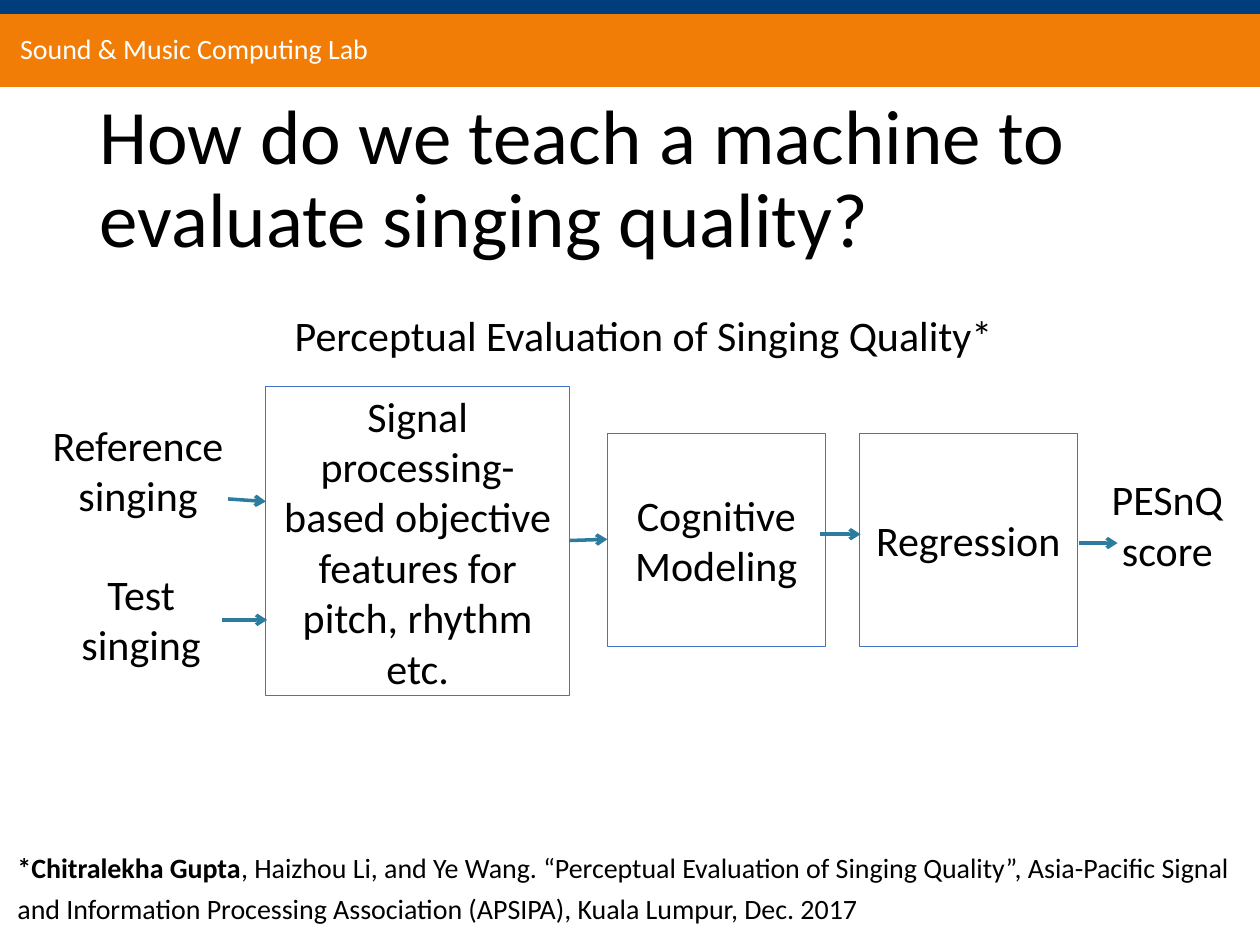
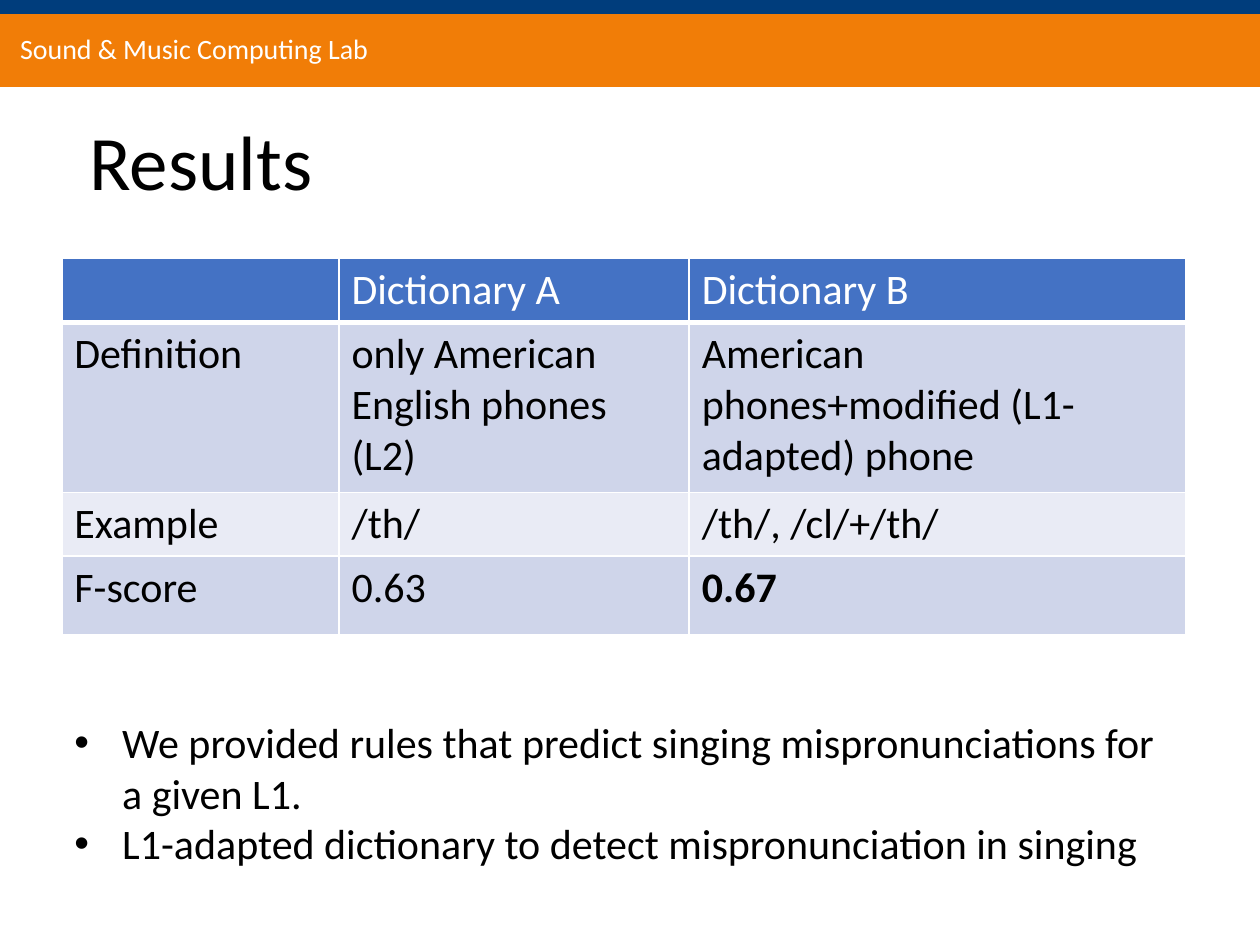
"""Build two slides on machine evaluation of singing quality."""
from dataclasses import dataclass

from lxml.etree import SubElement
from pptx import Presentation
from pptx.dml.color import RGBColor
from pptx.enum.shapes import MSO_CONNECTOR, MSO_SHAPE
from pptx.enum.text import MSO_ANCHOR, MSO_AUTO_SIZE, PP_ALIGN
from pptx.oxml.ns import qn
from pptx.util import Emu, Pt

PX = 9144
FONT = "Calibri"
COLORS = {
    "black": "000000",
    "white": "FFFFFF",
    "orange": "F17D07",
    "navy": "003D7C",
    "arrow": "2C7C9F",
    "blue": "4472C4",
    "odd_row": "CFD5EA",
    "even_row": "E9EBF5",
}


@dataclass(frozen=True)
class Area:
    left: int
    top: int
    width: int
    height: int

    def emu(self) -> tuple:
        return tuple(Emu(v * PX) for v in (self.left, self.top, self.width, self.height))


@dataclass(frozen=True)
class Label:
    text: str
    area: Area
    align: PP_ALIGN = PP_ALIGN.CENTER


@dataclass(frozen=True)
class Stage:
    text: str
    area: Area


@dataclass(frozen=True)
class Arrow:
    x1: int
    y1: int
    x2: int
    y2: int


ORANGE_BAND = Area(0, 11, 1000, 58)
NAVY_BAND = Area(0, 0, 1000, 11)
LAB_NAME = Area(12, 21, 287, 35)

STAGES = [
    Stage("Signal processing-based objective features for pitch, rhythm etc.",
          Area(211, 307, 241, 245)),
    Stage("Cognitive Modeling", Area(482, 344, 173, 169)),
    Stage("Regression", Area(682, 344, 173, 169)),
]
LABELS = [
    Label("Reference singing", Area(19, 328, 181, 91)),
    Label("Test singing", Area(25, 446, 174, 91)),
    Label("PESnQ score", Area(863, 371, 127, 91)),
    Label("Perceptual Evaluation of Singing Quality*", Area(224, 241, 592, 50), PP_ALIGN.LEFT),
]
ARROWS = [
    Arrow(181, 396, 211, 398),
    Arrow(176, 492, 212, 492),
    Arrow(452, 429, 482, 428),
    Arrow(651, 424, 683, 424),
    Arrow(856, 431, 887, 431),
]
CITATION_AREA = Area(4, 665, 996, 74)
CITATION_AUTHOR = "*Chitralekha Gupta"
CITATION_REST = (
    ", Haizhou Li, and Ye Wang. “Perceptual Evaluation of Singing Quality”, "
    "Asia-Pacific Signal and Information Processing Association (APSIPA), "
    "Kuala Lumpur, Dec. 2017"
)

TABLE_AREA = Area(49, 205, 892, 295)
COLUMN_WIDTHS = [220, 278, 394]
ROW_HEIGHTS = [49, 135, 49, 62]
RESULTS = [
    ["", "Dictionary A", "Dictionary B"],
    ["Definition", "only American English phones (L2)",
     "American phones+modified (L1-adapted) phone"],
    ["Example", "/th/", "/th/, /cl/+/th/"],
    ["F-score", "0.63", "0.67"],
]
ROW_FILLS = ["blue", "odd_row", "even_row", "odd_row"]
BEST_SCORE = "0.67"
FINDINGS_AREA = Area(49, 564, 892, 131)
FINDINGS = [
    "We provided rules that predict singing mispronunciations for a given L1.",
    "L1-adapted dictionary to detect mispronunciation in singing",
]


def rgb(color: str) -> RGBColor:
    return RGBColor.from_string(COLORS[color])


def add_run(paragraph, text: str, size: int = 24, color: str = "black", bold: bool = False) -> None:
    run = paragraph.add_run()
    run.text = text
    run.font.name = FONT
    run.font.size = Pt(size)
    run.font.bold = bold
    run.font.color.rgb = rgb(color)


def place(shape, area: Area) -> None:
    shape.left, shape.top, shape.width, shape.height = area.emu()


def add_text_frame(slide, area: Area):
    frame = slide.shapes.add_textbox(*area.emu()).text_frame
    frame.word_wrap = True
    return frame


def add_rectangle(slide, area: Area, fill: str):
    rectangle = slide.shapes.add_shape(MSO_SHAPE.RECTANGLE, *area.emu())
    rectangle.shadow.inherit = False
    rectangle.fill.solid()
    rectangle.fill.fore_color.rgb = rgb(fill)
    rectangle.line.fill.background()
    return rectangle


def add_header(slide) -> None:
    add_rectangle(slide, ORANGE_BAND, "orange")
    add_rectangle(slide, NAVY_BAND, "navy")
    lab = add_text_frame(slide, LAB_NAME)
    lab.word_wrap = False
    lab.vertical_anchor = MSO_ANCHOR.MIDDLE
    lab.margin_left = lab.margin_right = lab.margin_top = lab.margin_bottom = Emu(4 * PX)
    add_run(lab.paragraphs[0], "Sound & Music Computing Lab", 16, "white")


def set_title(slide, text: str, area: Area) -> None:
    title = slide.shapes.title
    place(title, area)
    frame = title.text_frame
    frame.auto_size = MSO_AUTO_SIZE.NONE
    frame.vertical_anchor = MSO_ANCHOR.MIDDLE
    heading = frame.paragraphs[0]
    heading.alignment = PP_ALIGN.LEFT
    heading.line_spacing = 0.9
    add_run(heading, text, 44)


def add_stage(slide, stage: Stage) -> None:
    box = add_rectangle(slide, stage.area, "white")
    box.line.color.rgb = rgb("blue")
    box.line.width = Pt(0.5)
    frame = box.text_frame
    frame.word_wrap = True
    frame.vertical_anchor = MSO_ANCHOR.MIDDLE
    frame.paragraphs[0].alignment = PP_ALIGN.CENTER
    add_run(frame.paragraphs[0], stage.text)


def add_label(slide, label: Label) -> None:
    paragraph = add_text_frame(slide, label.area).paragraphs[0]
    paragraph.alignment = label.align
    add_run(paragraph, label.text)


def add_arrow(slide, arrow: Arrow) -> None:
    ends = [Emu(v * PX) for v in (arrow.x1, arrow.y1, arrow.x2, arrow.y2)]
    connector = slide.shapes.add_connector(MSO_CONNECTOR.STRAIGHT, *ends)
    connector.line.color.rgb = rgb("arrow")
    connector.line.width = Pt(2)
    SubElement(connector.line._get_or_add_ln(), qn("a:tailEnd"), type="arrow")
    SubElement(connector._element.spPr, qn("a:effectLst"))


def add_citation(slide) -> None:
    citation = add_text_frame(slide, CITATION_AREA).paragraphs[0]
    citation.line_spacing = 1.2
    add_run(citation, CITATION_AUTHOR, 16, bold=True)
    add_run(citation, CITATION_REST, 16)


def set_borders(cell, bottom: float) -> None:
    properties = cell._tc.get_or_add_tcPr()
    for side, width in (("L", 1), ("R", 1), ("T", 1), ("B", bottom)):
        border = SubElement(properties, qn(f"a:ln{side}"), w=str(Pt(width)))
        fill = SubElement(border, qn("a:solidFill"))
        SubElement(fill, qn("a:srgbClr"), val=COLORS["white"])


def add_results_table(slide) -> None:
    table = slide.shapes.add_table(len(RESULTS), len(COLUMN_WIDTHS), *TABLE_AREA.emu()).table
    for column, width in zip(table.columns, COLUMN_WIDTHS):
        column.width = Emu(width * PX)
    for row, height in zip(table.rows, ROW_HEIGHTS):
        row.height = Emu(height * PX)
    for row_index, (texts, fill) in enumerate(zip(RESULTS, ROW_FILLS)):
        is_header = row_index == 0
        for column_index, text in enumerate(texts):
            cell = table.cell(row_index, column_index)
            set_borders(cell, 3 if is_header else 1)
            cell.fill.solid()
            cell.fill.fore_color.rgb = rgb(fill)
            if text:
                add_run(cell.text_frame.paragraphs[0], text,
                        color="white" if is_header else "black", bold=text == BEST_SCORE)


def set_findings(slide) -> None:
    findings = slide.placeholders[1]
    place(findings, FINDINGS_AREA)
    frame = findings.text_frame
    frame.auto_size = MSO_AUTO_SIZE.NONE
    for index, text in enumerate(FINDINGS):
        finding = frame.add_paragraph() if index else frame.paragraphs[0]
        finding.space_before = Pt(0)
        properties = finding._p.get_or_add_pPr()
        properties.set("marL", str(38 * PX))
        properties.set("indent", str(-38 * PX))
        SubElement(properties, qn("a:buFont"), typeface="Arial")
        SubElement(properties, qn("a:buChar"), char="•")
        add_run(finding, text)


def build_method_slide(deck) -> None:
    slide = deck.slides.add_slide(deck.slide_layouts[5])
    set_title(slide, "How do we teach a machine to evaluate singing quality?",
              Area(69, 71, 862, 145))
    add_header(slide)
    for stage in STAGES:
        add_stage(slide, stage)
    for label in LABELS:
        add_label(slide, label)
    for arrow in ARROWS:
        add_arrow(slide, arrow)
    add_citation(slide)


def build_results_slide(deck) -> None:
    slide = deck.slides.add_slide(deck.slide_layouts[1])
    set_title(slide, "Results", Area(61, 59, 862, 145))
    add_results_table(slide)
    set_findings(slide)
    add_header(slide)


def main() -> None:
    deck = Presentation()
    deck.slide_width = Emu(1000 * PX)
    deck.slide_height = Emu(750 * PX)
    build_method_slide(deck)
    build_results_slide(deck)
    deck.save("out.pptx")


if __name__ == "__main__":
    main()
